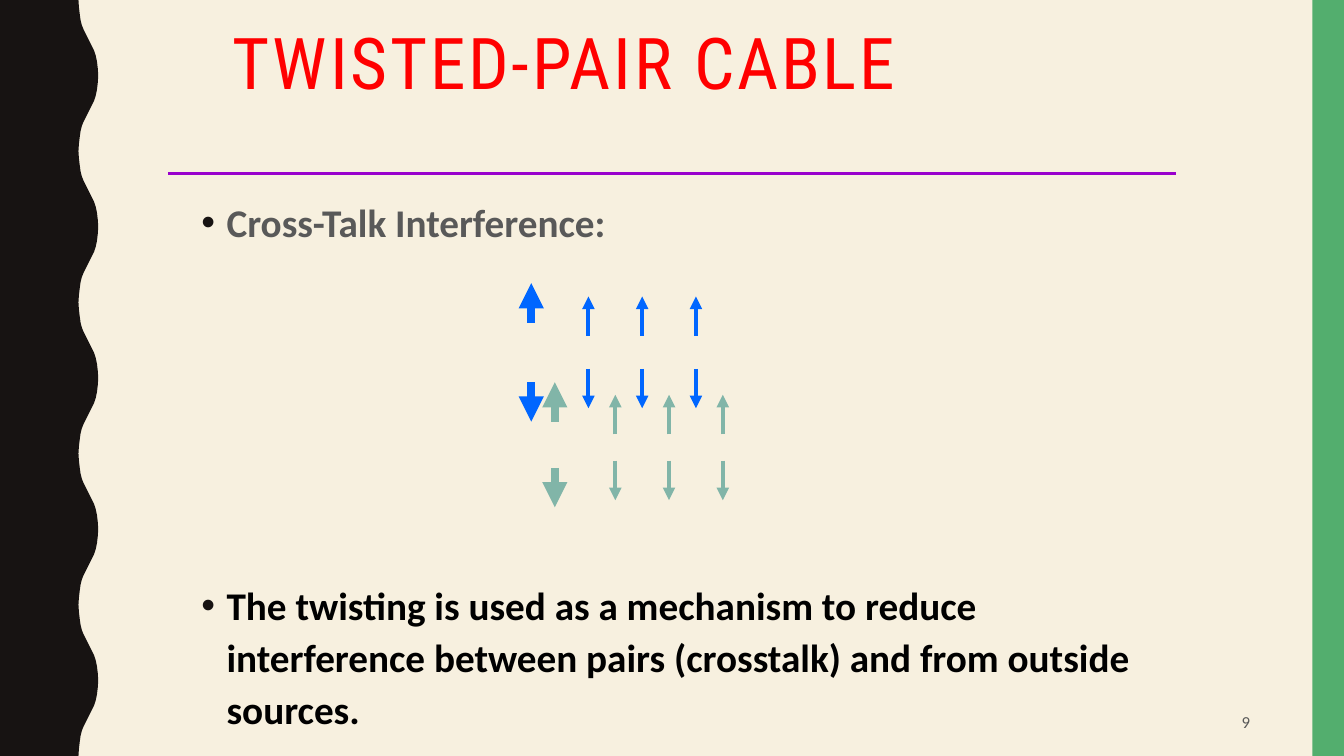
from dataclasses import dataclass

from lxml import etree
from pptx import Presentation
from pptx.dml.color import RGBColor
from pptx.enum.shapes import MSO_CONNECTOR, MSO_SHAPE
from pptx.enum.text import MSO_ANCHOR, PP_ALIGN
from pptx.oxml.ns import qn
from pptx.util import Inches, Pt

LINE = MSO_CONNECTOR.STRAIGHT
RECT = MSO_SHAPE.RECTANGLE
TOP, MID = MSO_ANCHOR.TOP, MSO_ANCHOR.MIDDLE
LEFT, RIGHT = PP_ALIGN.LEFT, PP_ALIGN.RIGHT

WIDE, HIGH = Inches(13.333), Inches(7.5)
COLS, ROWS = 160, 90


@dataclass(frozen=True)
class Theme:
    paper: str = "F7F0DF"
    ink: str = "171312"
    edge: str = "53AE6E"
    title: str = "FF0000"
    rule: str = "9900CC"
    grey: str = "595959"
    black: str = "000000"
    blue: str = "0066FF"
    green: str = "81B5A8"
    head: str = "Roboto Condensed"
    body: str = "Calibri"
    big: float = 51
    mid: float = 28
    small: float = 12
    thin: float = 2.25


@dataclass(frozen=True)
class Para:
    text: str
    font: str
    size: float
    color: str
    bold: bool = False
    align: PP_ALIGN = LEFT
    pitch: float = 1.0
    before: float = 0
    track: int = 0
    bullet: bool = False


@dataclass(frozen=True)
class Pair:
    col: float
    up: float
    down: float
    color: str
    width: float
    count: int = 1


THEME = Theme()
STEP, SHAFT = 6.4, 4.7
PAIRS = (
    Pair(70.05, 40, 43.9, THEME.blue, 3, 3),
    Pair(73.25, 51.7, 54.85, THEME.green, 3, 3),
    Pair(63.25, 38.4, 45.5, THEME.blue, 6),
    Pair(66.05, 50.2, 55.7, THEME.green, 6),
)
PERIOD, WAVES = 18, 5
CURVE = (
    (9.35, 0), (9.4, 0.84), (9.5, 1.68), (9.6, 2.4), (9.75, 3),
    (9.95, 3.5), (10.2, 4), (10.45, 4.5), (10.7, 5), (10.95, 5.5),
    (11.2, 6), (11.4, 6.6), (11.55, 7.32), (11.65, 8.16), (11.7, 9),
)


def horiz(col: float) -> int:
    return round(WIDE * col / COLS)


def vert(row: float) -> int:
    return round(HIGH * row / ROWS)


def rgb(color: str) -> RGBColor:
    return RGBColor.from_string(color)


def paint(shape, color: str) -> None:
    shape.shadow.inherit = False
    shape.fill.solid()
    shape.fill.fore_color.rgb = rgb(color)
    shape.line.fill.background()


def draw_wave(slide) -> None:
    cycle = CURVE + tuple((x, PERIOD - y) for x, y in CURVE[-2:0:-1])
    edge = [(horiz(x), vert(y + n * PERIOD)) for n in range(WAVES) for x, y in cycle]
    edge += [(horiz(CURVE[0][0]), HIGH), (0, HIGH)]
    form = slide.shapes.build_freeform(0, 0)
    form.add_line_segments(edge, close=True)
    paint(form.convert_to_shape(), THEME.ink)


def draw_line(slide, start: tuple[float, float], end: tuple[float, float],
              color: str, width: float, arrow: bool = False) -> None:
    line = slide.shapes.add_connector(
        LINE, horiz(start[0]), vert(start[1]), horiz(end[0]), vert(end[1]))
    line.line.color.rgb = rgb(color)
    line.line.width = Pt(width)
    if arrow:
        etree.SubElement(line.line._get_or_add_ln(), qn("a:tailEnd"), type="triangle")
    etree.SubElement(line._element.spPr, qn("a:effectLst"))


def draw_pair(slide, pair: Pair) -> None:
    for n in range(pair.count):
        col = pair.col + n * STEP
        for row, way in ((pair.up, -1), (pair.down, 1)):
            draw_line(slide, (col, row), (col, row + way * SHAFT),
                      pair.color, pair.width, True)


def add_bullet(para) -> None:
    props = para._p.get_or_add_pPr()
    props.set("marL", str(Inches(0.25)))
    props.set("indent", str(-Inches(0.25)))
    tint = etree.SubElement(props, qn("a:buClr"))
    etree.SubElement(tint, qn("a:srgbClr"), val=THEME.ink)
    etree.SubElement(props, qn("a:buFont"), typeface="Arial")
    etree.SubElement(props, qn("a:buChar"), char="•")


def draw_text(slide, box: tuple[float, float, float, float],
              paras: tuple[Para, ...], anchor: MSO_ANCHOR = TOP) -> None:
    col, row, wide, high = box
    frame = slide.shapes.add_textbox(
        horiz(col), vert(row), horiz(wide), vert(high)).text_frame
    frame.word_wrap = True
    frame.vertical_anchor = anchor
    for n, item in enumerate(paras):
        para = frame.add_paragraph() if n else frame.paragraphs[0]
        run = para.add_run()
        run.text = item.text
        para.alignment = item.align
        para.line_spacing = item.pitch
        if item.before:
            para.space_before = Pt(item.before)
        if item.bullet:
            add_bullet(para)
        if item.track:
            run._r.get_or_add_rPr().set("spc", str(item.track))
        font = para.font
        font.name, font.size, font.bold = item.font, Pt(item.size), item.bold
        font.color.rgb = rgb(item.color)


def main() -> None:
    deck = Presentation()
    deck.slide_width, deck.slide_height = WIDE, HIGH
    slide = deck.slides.add_slide(deck.slide_layouts[6])
    slide.background.fill.solid()
    slide.background.fill.fore_color.rgb = rgb(THEME.paper)

    draw_wave(slide)
    band = slide.shapes.add_shape(RECT, horiz(156.25), 0, horiz(3.75), HIGH)
    paint(band, THEME.edge)

    draw_text(slide, (26.5, 2.75, 108, 15), (
        Para("TWISTED-PAIR CABLE", THEME.head, THEME.big, THEME.title,
             pitch=0.9, track=200),
    ))
    draw_text(slide, (22.8, 22.45, 114.4, 65.65), (
        Para("Cross-Talk Interference:", THEME.body, THEME.mid, THEME.grey,
             bold=True, pitch=1.1, bullet=True),
        Para("The twisting is used as a mechanism to reduce interference "
             "between pairs (crosstalk) and from outside sources.",
             THEME.body, THEME.mid, THEME.black,
             bold=True, pitch=1.1, before=237, bullet=True),
    ))
    for pair in PAIRS:
        draw_pair(slide, pair)
    draw_line(slide, (20, 20.65), (140, 20.65), THEME.rule, THEME.thin)
    draw_text(slide, (113, 83.6, 37, 4.6), (
        Para("9", THEME.body, THEME.small, THEME.grey, align=RIGHT),
    ), MID)
    deck.save("out.pptx")


if __name__ == "__main__":
    main()
